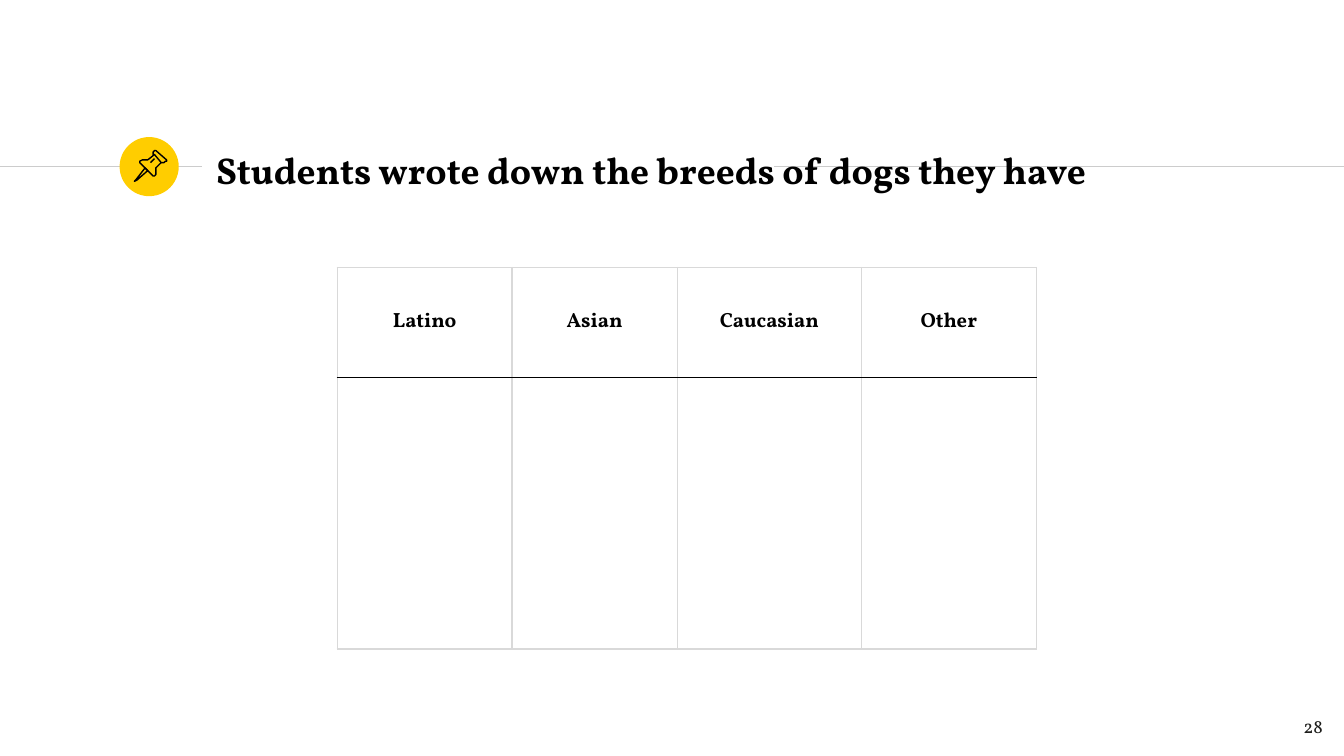
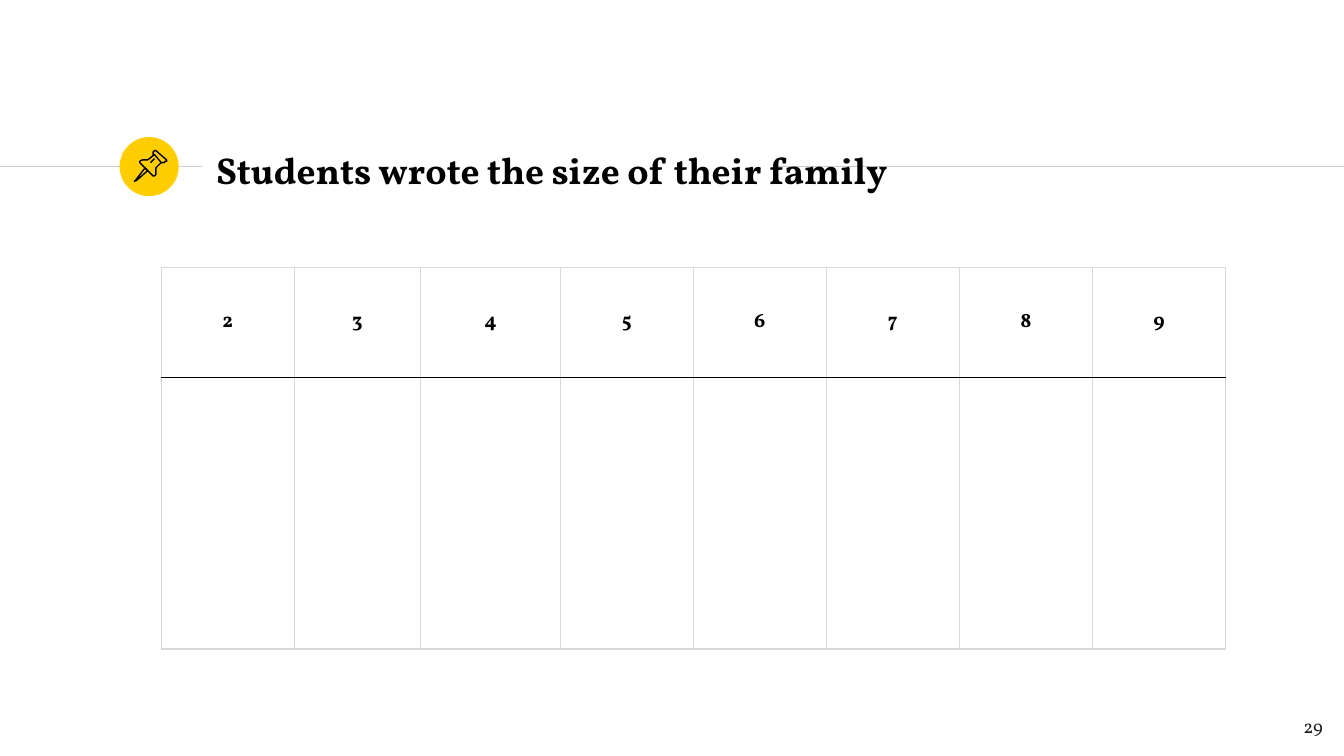
"""Build two survey slides, each with a pinned title and a blank tally table."""
from lxml.etree import SubElement
from pptx import Presentation
from pptx.dml.color import RGBColor
from pptx.enum.shapes import MSO_CONNECTOR, MSO_SHAPE
from pptx.enum.text import MSO_ANCHOR, PP_ALIGN
from pptx.oxml import parse_xml
from pptx.oxml.ns import nsdecls, qn
from pptx.util import Inches, Pt

BLACK = RGBColor(0x00, 0x00, 0x00)
INK = RGBColor(0x1D, 0x1D, 0x1B)
YELLOW = RGBColor(0xFF, 0xCD, 0x00)
RULE_GREY = RGBColor(0xCC, 0xCC, 0xCC)
GRID_GREY = RGBColor(0xD9, 0xD9, 0xD9)
FONT = "Vollkorn"
TABLE_TOP = 1.99
ROW_HEIGHTS = [0.82, 2.02]

PIN_OUTLINES = [
    ([(1.08, 1.25), (1.01, 1.34), (1, 1.35), (1.02, 1.34), (1.1, 1.27)], True),
    ([(1.15, 1.15), (1.2, 1.21), (1.22, 1.21), (1.23, 1.2), (1.24, 1.2),
      (1.24, 1.19), (1.16, 1.12), (1.15, 1.12), (1.14, 1.13), (1.14, 1.15)], True),
    ([(1.15, 1.15), (1.1, 1.19), (1.06, 1.19), (1.04, 1.2), (1.04, 1.21),
      (1.14, 1.31), (1.15, 1.31), (1.16, 1.3), (1.16, 1.25), (1.2, 1.21)], False),
    ([(1.12, 1.21), (1.15, 1.18)], False),
]

SLIDES = [
    ("Students wrote down the breeds of dogs they have", "28", 2.51,
     ["Latino", "Asian", "Caucasian", "Other"], [1.3, 1.23, 1.37, 1.3]),
    ("Students wrote the size of their family", "29", 1.2,
     ["2", "3", "4", "5", "6", "7", "8", "9"], [0.99, 0.94, 1.04] + [0.99] * 5),
]


def write(tf, text, size, color, bold=False, align=PP_ALIGN.LEFT):
    p = tf.paragraphs[0]
    p.text = text
    p.alignment = align
    p.font.name = FONT
    p.font.size = Pt(size)
    p.font.bold = bold
    p.font.color.rgb = color


def add_text(s, left, top, width, height):
    tf = s.shapes.add_textbox(Inches(left), Inches(top), Inches(width), Inches(height)).text_frame
    tf.word_wrap = True
    tf.vertical_anchor = MSO_ANCHOR.MIDDLE
    tf.margin_left = tf.margin_right = tf.margin_top = tf.margin_bottom = Inches(0.1)
    return tf


prs = Presentation()
prs.slide_width = Inches(10)
prs.slide_height = Inches(10 * 9 / 16)

for title, number, table_left, headers, widths in SLIDES:
    s = prs.slides.add_slide(prs.slide_layouts[6])

    for x1, x2 in [(0, 1.5), (5.76, 10)]:
        rule = s.shapes.add_connector(
            MSO_CONNECTOR.STRAIGHT, Inches(x1), Inches(1.24), Inches(x2), Inches(1.24))
        rule.line.color.rgb = RULE_GREY
        rule.line.width = Pt(0.75)
        SubElement(rule._element.spPr, qn("a:effectLst"))

    badge = s.shapes.add_shape(
        MSO_SHAPE.OVAL, Inches(0.89), Inches(1.02), Inches(0.44), Inches(0.44))
    badge.shadow.inherit = False
    badge.fill.solid()
    badge.fill.fore_color.rgb = YELLOW
    badge.line.fill.background()

    tf = add_text(s, 1.51, 1.02, 7.24, 0.48)
    write(tf, title, 20, BLACK, bold=True)

    frame = s.shapes.add_table(
        len(ROW_HEIGHTS), len(headers), Inches(table_left), Inches(TABLE_TOP),
        Inches(sum(widths)), Inches(sum(ROW_HEIGHTS)))
    table = frame.table
    table.first_row = False
    table.horz_banding = False
    for column, width in zip(table.columns, widths):
        column.width = Inches(width)
    for i, (row, height) in enumerate(zip(table.rows, ROW_HEIGHTS)):
        row.height = Inches(height)
        for j, cell in enumerate(row.cells):
            cell.fill.background()
            cell.margin_left = cell.margin_right = Inches(0.1)
            cell.margin_top = cell.margin_bottom = Inches(0.07)
            cell.vertical_anchor = MSO_ANCHOR.MIDDLE
            if i == 0:
                write(cell.text_frame, headers[j], 11, BLACK, True, PP_ALIGN.CENTER)
            header_edge = "B" if i == 0 else "T"
            tcPr = cell._tc.get_or_add_tcPr()
            for k, edge in enumerate("LRTB"):
                color = BLACK if edge == header_edge else GRID_GREY
                tcPr.insert(k, parse_xml(
                    f'<a:ln{edge} {nsdecls("a")} w="{Pt(0.75)}"><a:solidFill>'
                    f'<a:srgbClr val="{color}"/></a:solidFill></a:ln{edge}>'))

    pin = s.shapes.add_group_shape()
    for points, closed in PIN_OUTLINES:
        start, *rest = [(Inches(x), Inches(y)) for x, y in points]
        builder = pin.shapes.build_freeform(*start)
        builder.add_line_segments(rest, close=closed)
        sp = builder.convert_to_shape()
        sp.shadow.inherit = False
        sp.fill.background()
        sp.line.color.rgb = BLACK
        sp.line.width = Pt(0.75)

    tf = add_text(s, 9.34, 5.19, 0.6, 0.43)
    write(tf, number, 10, INK, align=PP_ALIGN.RIGHT)

prs.save("out.pptx")
